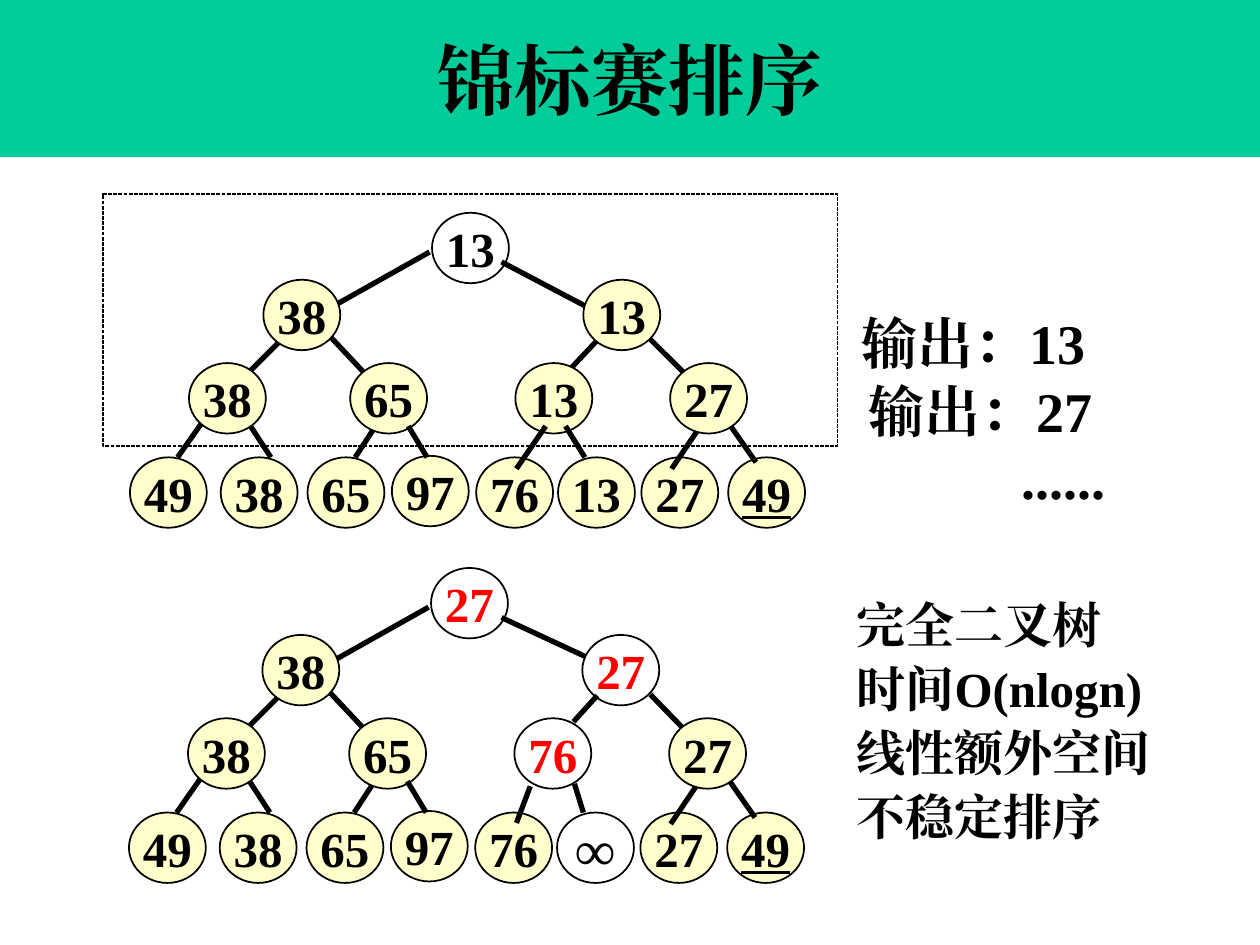
from dataclasses import dataclass
from lxml.etree import SubElement as Sub
from pptx import Presentation
from pptx.dml.color import RGBColor as Rgb
from pptx.enum.dml import MSO_LINE as Dash
from pptx.enum.shapes import MSO_CONNECTOR as Conn, MSO_SHAPE as Kind
from pptx.enum.text import MSO_ANCHOR as Anchor, PP_ALIGN as Align
from pptx.oxml.ns import qn
from pptx.util import Cm, Pt


@dataclass(frozen=True)
class Theme:
    """Hold the colours, font and sizes."""
    ink: str = "000000"
    red: str = "FF0000"
    cream: str = "FFFFCC"
    green: str = "00CC99"
    font: str = "Times New Roman"
    title: int = 44
    large: int = 32
    body: int = 28
    edge: float = 3
    rim: float = 1
    frame: float = 0.75


THEME = Theme()
WIDE, HIGH = 1.55, 1.42

SPOTS = [
    (8.71, 4.29),
    (5.31, 5.64), (11.76, 5.64),
    (3.81, 7.32), (7.06, 7.32), (10.39, 7.32), (13.51, 7.32),
    (2.62, 9.22), (4.45, 9.22), (6.2, 9.22), (7.9, 9.19),
    (9.6, 9.22), (11.25, 9.22), (12.93, 9.22), (14.68, 9.22),
]
INNER = 7
LAST = len(SPOTS) - 1

UNDER = [
    (6.81, 6.12, 8.66, 5.08),
    (6.68, 6.81, 7.44, 7.62), (5.84, 6.68, 5.05, 7.47),
    (4.17, 8.38, 3.58, 9.22), (5.46, 9.22, 5.05, 8.59),
    (7.57, 8.59, 7.16, 9.22), (14.12, 8.59, 13.54, 9.45),
]
OVER = [(15.24, 9.32, 14.73, 8.59), (8.61, 9.22, 8.23, 8.59)]


def write(shape, lines, size=THEME.body, color=THEME.ink, align=Align.LEFT,
          before=0, under=False, anchor=Anchor.TOP, wrap=True):
    """Fill a shape with formatted paragraphs."""
    frame = shape.text_frame
    frame.word_wrap, frame.vertical_anchor = wrap, anchor
    for i, line in enumerate(lines):
        para = frame.add_paragraph() if i else frame.paragraphs[0]
        para.alignment, para.space_before = align, Pt(before)
        run = para.add_run()
        run.text = line
        font = run.font
        font.name, font.size, font.bold = THEME.font, Pt(size), True
        font.underline = under or None
        font.color.rgb = Rgb.from_string(color)
        Sub(font._element, qn("a:ea")).set("typeface", THEME.font)
    return frame


def draw(slide, kind, box, fill=None, width=None):
    """Add a preset shape with optional fill and outline."""
    shape = slide.shapes.add_shape(kind, *map(Cm, box))
    shape.shadow.inherit = False
    if fill:
        shape.fill.solid()
        shape.fill.fore_color.rgb = Rgb.from_string(fill)
    else:
        shape.fill.background()
    if width:
        shape.line.width = Pt(width)
        shape.line.color.rgb = Rgb.from_string(THEME.ink)
    else:
        shape.line.fill.background()
    return shape


def link(slide, ends, dx, dy):
    """Add one tree edge, moved by an offset."""
    x, y, u, v = ends
    line = slide.shapes.add_connector(
        Conn.STRAIGHT, Cm(x + dx), Cm(y + dy), Cm(u + dx), Cm(v + dy))
    line.line.width = Pt(THEME.edge)
    line.line.color.rgb = Rgb.from_string(THEME.ink)
    Sub(line._element.spPr, qn("a:effectLst"))


def tree(slide, keys, clear, under, over, red=(), dx=0, dy=0):
    """Draw a tournament tree from its keys in level order."""
    def node(i):
        """Draw the node at one index."""
        x, y = SPOTS[i]
        shape = draw(slide, Kind.OVAL, (x + dx, y + dy, WIDE, HIGH),
                     None if i in clear else THEME.cream, THEME.rim)
        write(shape, [keys[i]], align=Align.CENTER, before=4.5,
              size=THEME.large if keys[i] == "∞" else THEME.body,
              color=THEME.red if i in red else THEME.ink,
              under=i == LAST, anchor=Anchor.MIDDLE, wrap=False)

    for i in range(INNER, len(keys)):
        node(i)
    for ends in UNDER + under:
        link(slide, ends, dx, dy)
    for i in range(INNER):
        node(i)
    for ends in OVER + over:
        link(slide, ends, dx, dy)


def label(slide, box, lines, **form):
    """Add a text box."""
    return write(slide.shapes.add_textbox(*map(Cm, box)), lines, **form)


def main():
    """Build and save the slide."""
    deck = Presentation()
    deck.slide_width, deck.slide_height = Cm(25.4), Cm(19.05)
    slide = deck.slides.add_slide(deck.slide_layouts[6])

    head = draw(slide, Kind.RECTANGLE, (0, 0, 25.4, 3.17), THEME.green)
    write(head, ["锦标赛排序"], size=THEME.title, align=Align.CENTER,
          anchor=Anchor.MIDDLE)

    tree(slide, "13 38 13 38 65 13 27 49 38 65 97 76 13 27 49".split(),
         clear={0},
         under=[(10.11, 5.28, 11.99, 6.27), (13, 6.73, 13.79, 7.52),
                (12.04, 6.86, 11.4, 7.54)],
         over=[(11.79, 9.22, 11.4, 8.59), (11, 8.59, 10.41, 9.45)])
    tree(slide, "27 38 27 38 65 76 27 49 38 65 97 76 ∞ 27 49".split(),
         clear={0, 2, 5, 12}, red={0, 2, 5},
         under=[(10.13, 5.29, 11.81, 6.07), (13.13, 6.84, 13.79, 7.52),
                (12.06, 6.86, 11.58, 7.39)],
         over=[(11.78, 9.22, 11.6, 8.64), (10.71, 8.69, 10.43, 9.43)],
         dx=-0.02, dy=7.16)

    frame = draw(slide, Kind.RECTANGLE, (2.08, 3.91, 14.81, 5.08),
                 width=THEME.frame)
    frame.line.dash_style = Dash.SQUARE_DOT

    label(slide, (17.12, 6.1, 6.98, 1.63), ["输出：13"], size=THEME.large)
    out = label(slide, (17.25, 7.47, 6.98, 3), ["输出：27", "......"],
                size=THEME.large)
    out.paragraphs[1]._p.get_or_add_pPr().set("marL", str(Cm(3.1)))
    label(slide, (17.02, 11.86, 6.78, 5.41),
          ["完全二叉树", "时间O(nlogn)", "线性额外空间", "不稳定排序"],
          before=3, wrap=False)
    deck.save("out.pptx")


if __name__ == "__main__":
    main()
